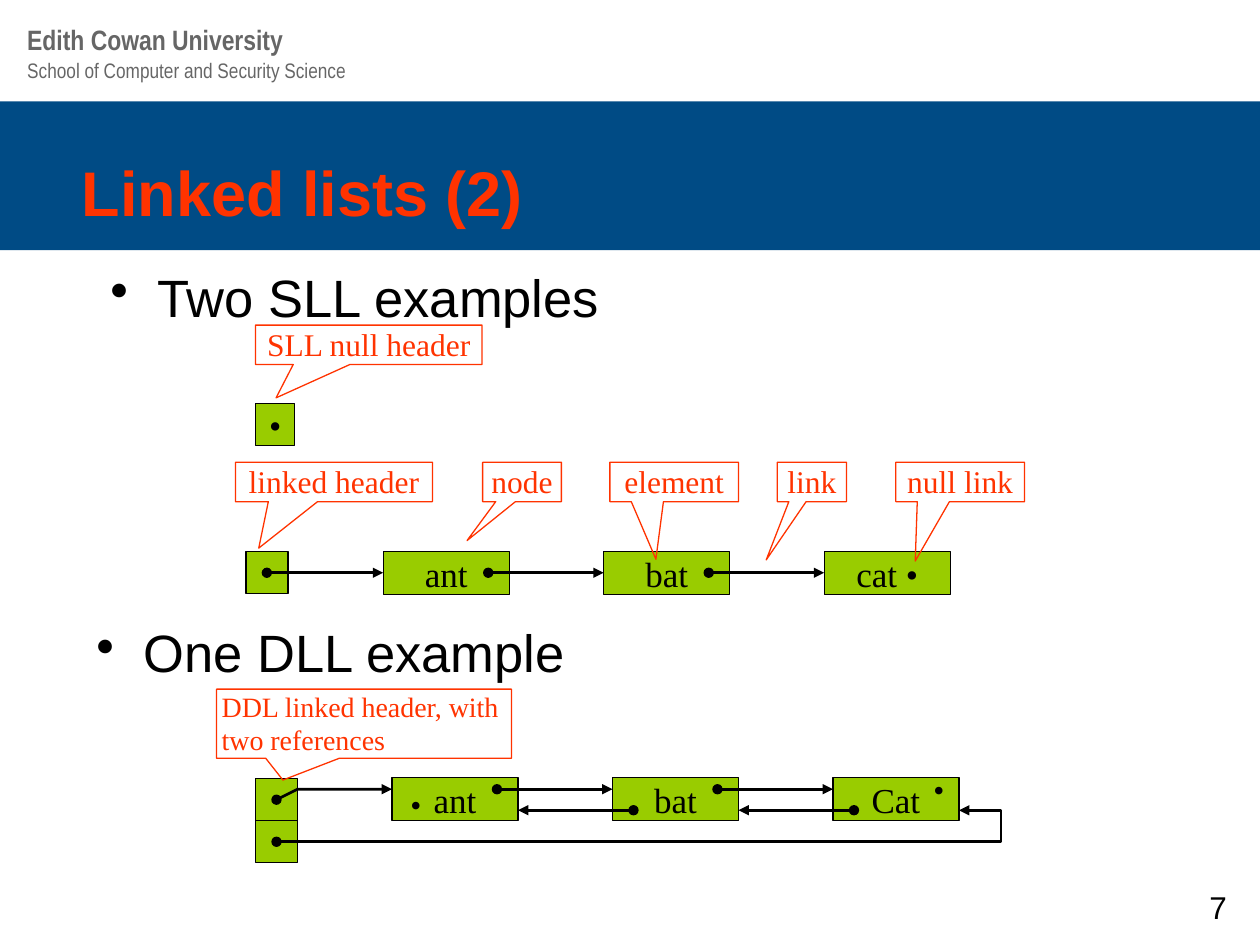
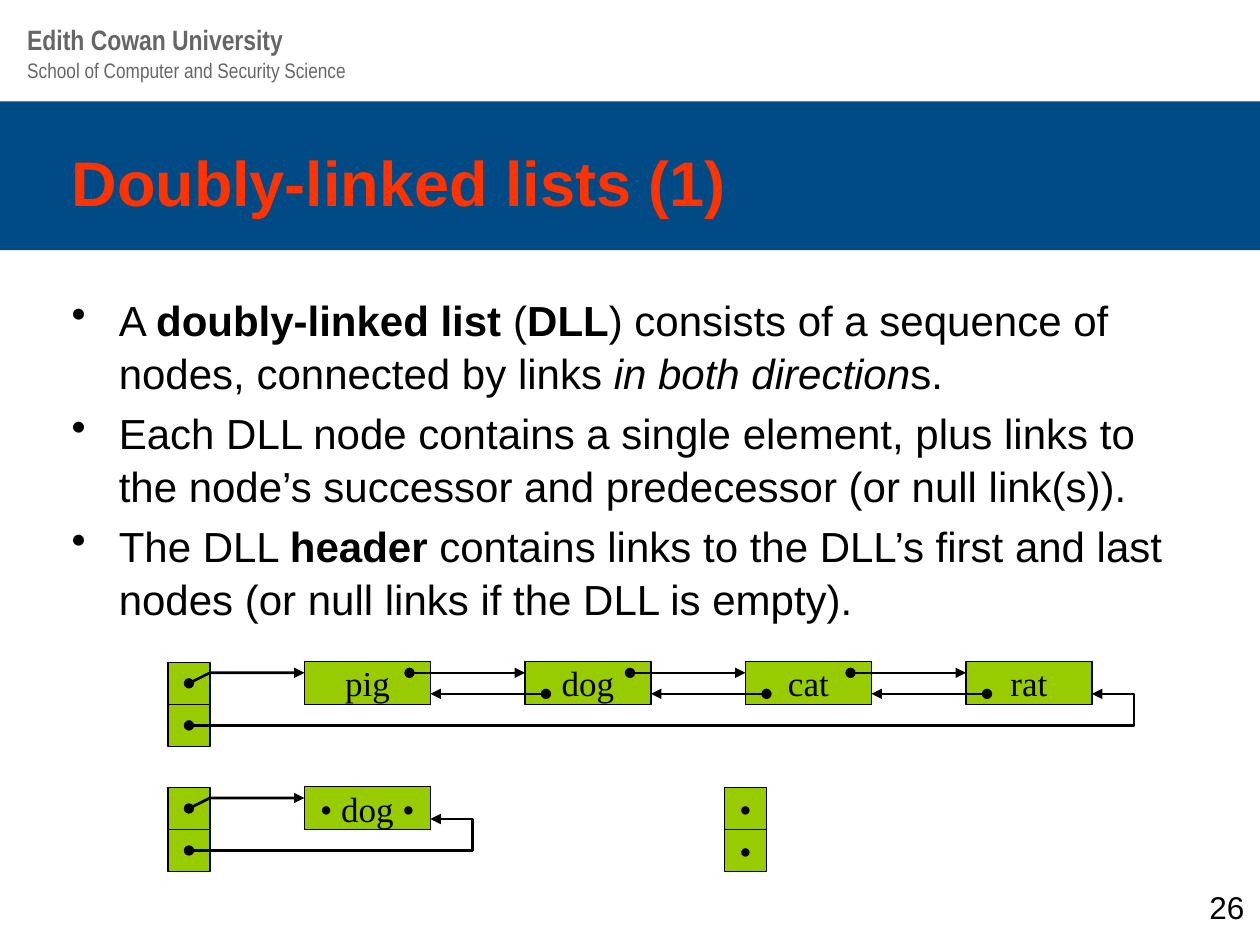
from lxml.etree import SubElement
from pptx import Presentation
from pptx.dml.color import RGBColor
from pptx.enum.shapes import MSO_CONNECTOR, MSO_SHAPE
from pptx.enum.text import MSO_ANCHOR as ANCHOR, MSO_AUTO_SIZE, PP_ALIGN as ALIGN
from pptx.oxml.ns import qn
from pptx.util import Pt

COLORS = {k: RGBColor.from_string(v) for k, v in {
    "band": "004B85", "title": "FF3300", "header": "666666",
    "node": "99CC00", "ink": "000000"}.items()}
SANS, NARROW, SERIF = "Arial", "Arial Narrow", "Times New Roman"
CELL, NODE_W, NODE_H, PITCH = 24, 72, 24.5, 126


def add_box(s, at, paras="", size=20, font=SERIF, color="ink", preset=None, fill=None,
            line=None, bold=False, align=ALIGN.LEFT, anchor=ANCHOR.TOP,
            inset=(7.2, 3.6), bullet=False, spacing=None):
    """Add a preset shape or, without one, a text box; paras is a string or lists of (text, style)."""
    at = [Pt(v) for v in at]
    if preset is None:
        sp = s.shapes.add_textbox(*at)
    else:
        sp = s.shapes.add_shape(preset, *at)
        sp.shadow.inherit = False
        if fill:
            sp.fill.solid()
            sp.fill.fore_color.rgb = COLORS[fill]
        else:
            sp.fill.background()
        if line:
            sp.line.color.rgb = COLORS[line]
            sp.line.width = Pt(0.75)
        else:
            sp.line.fill.background()
    tf = sp.text_frame
    tf.word_wrap = True
    tf.vertical_anchor = anchor
    tf.margin_left = tf.margin_right = Pt(inset[0])
    tf.margin_top = tf.margin_bottom = Pt(inset[1])
    if isinstance(paras, str):
        paras = [[(paras, "")]] if paras else []
    for i, runs in enumerate(paras):
        p = tf.add_paragraph() if i else tf.paragraphs[0]
        p.alignment = align
        if spacing:
            p.line_spacing = spacing
        if i:
            p.space_before = Pt(4)
        if bullet:
            pPr = p._p.get_or_add_pPr()
            pPr.set("marL", str(Pt(27)))
            pPr.set("indent", str(Pt(-27)))
            SubElement(pPr, qn("a:buChar")).set("char", "•")
        for text, style in runs:
            r = p.add_run()
            r.text = text
            r.font.size = Pt(size)
            r.font.name = font
            r.font.color.rgb = COLORS[color]
            r.font.bold = bold or style == "b"
            r.font.italic = style == "i"
    return sp


def add_link(s, *points, arrow=True):
    """Draw a line through the points that starts with a dot and may end with an arrowhead."""
    pts = [(Pt(x), Pt(y)) for x, y in points]
    if len(pts) == 2:
        sp = s.shapes.add_connector(MSO_CONNECTOR.STRAIGHT, *pts[0], *pts[1])
    else:
        ff = s.shapes.build_freeform(*pts[0])
        ff.add_line_segments(pts[1:], close=False)
        sp = ff.convert_to_shape()
        sp.fill.background()
    sp.line.color.rgb = COLORS["ink"]
    sp.line.width = Pt(1.5)
    ln = sp.line._get_or_add_ln()
    SubElement(ln, qn("a:headEnd")).set("type", "oval")
    if arrow:
        SubElement(ln, qn("a:tailEnd")).set("type", "triangle")
    SubElement(sp._element.spPr, qn("a:effectLst"))


prs = Presentation()
prs.slide_width, prs.slide_height = Pt(720), Pt(540)

# Shared header, band, title and page number
slides = []
for title, at, number in [
        ("Linked lists (2)", (39.6, 84.2, 408, 42), "7"),
        ("Doubly-linked lists (1)", (33.8, 78.5, 612, 54), "26")]:
    s = prs.slides.add_slide(prs.slide_layouts[5])
    slides.append(s)
    add_box(s, (0, 58, 720, 85), preset=MSO_SHAPE.RECTANGLE, fill="band")
    add_box(s, (8.5, 29.5, 424, 22), "School of Computer and Security Science",
            12, NARROW, "header")
    add_box(s, (8.5, 9.5, 424, 26.5), "Edith Cowan University", 16, NARROW, "header", bold=True)
    add_box(s, (684, 504, 36, 24), number, 18, SANS)
    sp = s.shapes.title
    sp._element.getparent().append(sp._element)  # in front of the band
    sp.left, sp.top, sp.width, sp.height = [Pt(v) for v in at]
    tf = sp.text_frame
    tf.auto_size = MSO_AUTO_SIZE.NONE
    tf.vertical_anchor = ANCHOR.TOP
    p = tf.paragraphs[0]
    p.alignment = ALIGN.LEFT
    r = p.add_run()
    r.text = title
    r.font.size, r.font.name, r.font.bold = Pt(36), SANS, True
    r.font.color.rgb = COLORS["title"]
examples, doubly = slides

# Body text
add_box(examples, (56, 152, 317.5, 45), "Two SLL examples", 30, SANS, bullet=True, spacing=0.9)
add_box(examples, (48, 355, 329, 39), "One DLL example", 30, SANS, bullet=True, spacing=0.9)
add_box(doubly, (33.8, 163.5, 660, 198), [
    [("A ", ""), ("doubly-linked list", "b"), (" (", ""), ("DLL", "b"),
     (") consists of a sequence of nodes, connected by links ", ""),
     ("in both direction", "i"), ("s.", "")],
    [("Each DLL node contains a single element, plus links to the node’s successor "
      "and predecessor (or null link(s)).", "")],
    [("The DLL ", ""), ("header", "b"),
     (" contains links to the DLL’s first and last nodes "
      "(or null links if the DLL is empty).", "")],
], 24, SANS, bullet=True, spacing=1.05)

cell = dict(preset=MSO_SHAPE.RECTANGLE, fill="node", line="ink", align=ALIGN.CENTER,
            anchor=ANCHOR.MIDDLE, inset=(0, 0))

# Singly-linked lists: an empty one and one with three nodes
add_box(examples, (146, 230.5, 22.5, CELL), "•", **cell)
x, y = 140.5, 315.3
mid = y + 12
add_box(examples, (x, y, CELL, CELL), **cell)
words = ["ant", "bat", "cat •"]
lefts = [x + 78.5 + PITCH * i for i in range(len(words))]
for word, left in zip(words, lefts):
    add_box(examples, (left, y, NODE_W, NODE_H), word, **cell)
for start, end in zip([x + 12] + [left + 60 for left in lefts], lefts):
    add_link(examples, (start, mid), (end, mid))

# Doubly-linked lists: two header cells, then nodes linked both ways
for s, x, y, words in [
        (examples, 146, 445, ["ant", "bat", "Cat"]),
        (doubly, 96, 378.5, ["pig", "dog", "cat", "rat"]),
        (doubly, 96, 450, ["• dog •"])]:
    for row in range(2):
        add_box(s, (x, y + CELL * row, CELL, CELL), **cell)
    lefts = [x + 78 + PITCH * i for i in range(len(words))]
    for word, left in zip(words, lefts):
        add_box(s, (left, y - 0.5, NODE_W, NODE_H), word, **cell)
    ahead, back, last = y + 6, y + 18, y + 36
    for left, following in zip(lefts, lefts[1:]):
        add_link(s, (left + 60, ahead), (following, ahead))
        add_link(s, (following + 12, back), (left + NODE_W, back))
    end = lefts[-1] + NODE_W
    add_link(s, (x + 12, y + 12), (x + CELL, ahead), (lefts[0], ahead))
    add_link(s, (x + 12, last), (end + 24, last), (end + 24, back), (end, back))

# Empty doubly-linked list and null links
for top in (450, 474):
    add_box(doubly, (414, top, CELL, CELL), "•", **cell)
for dot in [(186, 396.5), (612, 384.5), (186, 468), (231, 456), (426, 462), (426, 486)]:
    add_link(doubly, dot, dot, arrow=False)
for left, top in [(227.5, 445), (526.3, 436.3)]:
    add_box(examples, (left, top, 21.6, 28.8), "•", 18)

# Callouts: text, box, pointer tip, size, alignment
for text, at, tip, size, align in [
        ("linked header", (134.6, 264.2, 112.5, 22.5), (-0.382, 1.679), 18, ALIGN.CENTER),
        ("null link", (511.9, 264.2, 73.5, 22.5), (-0.349, 2.008), 18, ALIGN.CENTER),
        ("node", (275.8, 264.2, 45, 22.5), (-0.698, 1.488), 18, ALIGN.CENTER),
        ("element", (348.5, 264.2, 73.5, 22.5), (-0.142, 1.96), 18, ALIGN.CENTER),
        ("link", (444.2, 264.2, 39.5, 22.5), (-0.661, 1.979), 18, ALIGN.CENTER),
        ("SLL null header", (146, 185.8, 129.5, 22.5), (-0.409, 1.347), 18, ALIGN.CENTER),
        ("DDL linked header, with two references", (123.8, 393.8, 168.5, 39.5),
         (-0.275, 0.816), 16, ALIGN.LEFT)]:
    sp = add_box(examples, at, text, size, color="title", line="title", align=align,
                 preset=MSO_SHAPE.RECTANGULAR_CALLOUT, inset=(2.9, 0))
    sp.adjustments[0], sp.adjustments[1] = tip

prs.save("out.pptx")
